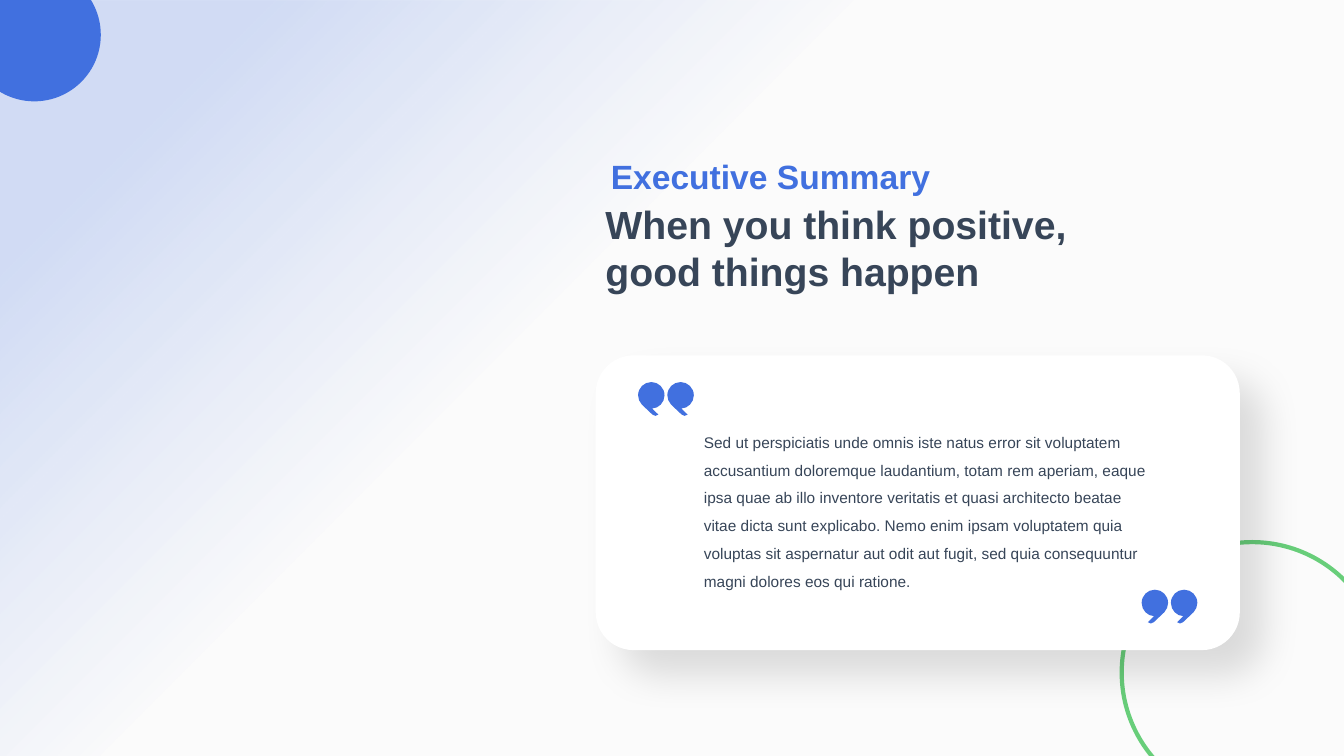
import pptx
import pptx.util
import pptx.dml.color
import pptx.enum.shapes
import pptx.enum.text
import pptx.oxml
import pptx.oxml.ns

Pt = pptx.util.Pt
qn = pptx.oxml.ns.qn
SHAPE = pptx.enum.shapes.MSO_SHAPE
ANCHOR = pptx.enum.text.MSO_ANCHOR
NS = 'xmlns:a="http://schemas.openxmlformats.org/drawingml/2006/main"'
COLORS = {"paper": "FBFBFB", "card": "FFFFFF", "blue": "4170DF",
          "green": "68CE7A", "ink": "374558", "shadow": "000000"}
QUOTE = ("Sed ut perspiciatis unde omnis iste natus error sit voluptatem "
         "accusantium doloremque laudantium, totam rem aperiam, eaque ipsa quae ab illo "
         "inventore veritatis et quasi architecto beatae vitae dicta sunt explicabo. "
         "Nemo enim ipsam voluptatem quia voluptas sit aspernatur aut odit aut fugit, "
         "sed quia consequuntur magni dolores eos qui ratione.")
# Comma outline in units of its radius: a start, then lines (1 point) and curves (3 points)
COMMA_START = (-0.71, 0.71)
COMMA = [[(-0.89, 0.52), (-1, 0.27), (-1, 0)],
         [(-1, -0.55), (-0.55, -1), (0, -1)],
         [(0.55, -1), (1, -0.55), (1, 0)],
         [(1, 0.55), (0.55, 1), (0.06, 1)],
         [(0.53, 1.46)],
         [(0.41, 1.59), (0.21, 1.59), (0.08, 1.46)]]


def rgb(name):
    return pptx.dml.color.RGBColor.from_string(COLORS[name])


def paint(sp, fill, line=None, width=0):
    sp.shadow.inherit = False
    sp.fill.solid()
    sp.fill.fore_color.rgb = rgb(fill)
    if line:
        sp.line.color.rgb = rgb(line)
        sp.line.width = Pt(width)
    else:
        sp.line.fill.background()


def add_shape(s, kind, box, *style):
    sp = s.shapes.add_shape(kind, *map(Pt, box))
    paint(sp, *style)
    return sp


def add_text(s, box, lines, size, color, bold=False, spacing=None, anchor=ANCHOR.TOP):
    tf = s.shapes.add_textbox(*map(Pt, box)).text_frame
    frame = {"word_wrap": True, "vertical_anchor": anchor,
             "auto_size": pptx.enum.text.MSO_AUTO_SIZE.SHAPE_TO_FIT_TEXT}
    for key, value in frame.items():
        setattr(tf, key, value)
    font = {"name": "Arial", "size": Pt(size), "bold": bold}
    for i, line in enumerate(lines):
        p = tf.add_paragraph() if i else tf.paragraphs[0]
        p.line_spacing = spacing
        r = p.add_run()
        r.text = line
        for key, value in font.items():
            setattr(r.font, key, value)
        r.font.color.rgb = rgb(color)


def add_quote_mark(s, left, top, side):
    """Two round commas; side is 1 for tails to the right, -1 for the left."""
    radius, gap = 9.45, 20.9
    builder = None
    for i in range(2):
        cx, cy = left + radius + i * gap, top + radius

        def place(point):
            return Pt(cx + side * radius * point[0]), Pt(cy + radius * point[1])

        if builder is None:
            builder = s.shapes.build_freeform(*place(COMMA_START))
        else:
            builder.move_to(*place(COMMA_START))
        builder.add_line_segments([place(pt) for part in COMMA for pt in part], close=True)
    sp = builder.convert_to_shape()
    paint(sp, "blue")
    # Turn each run of three points into one curve
    lines = list(sp._element.iter(qn("a:lnTo")))
    size = sum(map(len, COMMA))
    for start in range(0, 2 * size, len(lines) // 2):
        at = start
        for part in COMMA:
            if len(part) == 3:
                curve = pptx.oxml.parse_xml(f"<a:cubicBezTo {NS}/>")
                lines[at].addprevious(curve)
                for line in lines[at:at + 3]:
                    curve.append(line[0])
                    line.getparent().remove(line)
            at += len(part)


def add_backdrop(s, width, height):
    s.background.fill.solid()
    s.background.fill.fore_color.rgb = rgb("paper")
    # Diagonal blue wash
    sp = add_shape(s, SHAPE.RECTANGLE, (0, 0, width, height), "blue")
    stops = "".join(
        f'<a:gs pos="{pos * 1000}"><a:srgbClr val="{COLORS["blue"]}">'
        f'<a:alpha val="{alpha * 1000}"/></a:srgbClr></a:gs>'
        for pos, alpha in ((13, 22), (41, 0)))
    props = sp._element.spPr
    props.replace(props.find(qn("a:solidFill")), pptx.oxml.parse_xml(
        f'<a:gradFill {NS} rotWithShape="1"><a:gsLst>{stops}</a:gsLst>'
        '<a:lin ang="2700000" scaled="0"/></a:gradFill>'))
    # Corner circles
    add_shape(s, SHAPE.OVAL, (801.2, 387.2, 186.5, 186.5), "paper", "green", 3)
    add_shape(s, SHAPE.OVAL, (-23, -22.6, 95, 95), "blue")


def add_card(s, left, top, width, height):
    sp = add_shape(s, SHAPE.ROUNDED_RECTANGLE, (left, top, width, height), "card")
    sp.adjustments[0] = 0.129
    sp._element.spPr.find(qn("a:effectLst")).append(pptx.oxml.parse_xml(
        f'<a:outerShdw {NS} blurRad="{Pt(28)}" dist="{Pt(25)}" dir="2700000" '
        f'algn="tl" rotWithShape="0"><a:srgbClr val="{COLORS["shadow"]}">'
        '<a:alpha val="12000"/></a:srgbClr></a:outerShdw>'))
    # Quotation and its marks
    add_text(s, (left + 70.2, top + 45.4, 336.3, 125.3), [QUOTE], 11, "ink", spacing=1.5)
    add_quote_mark(s, left + 30.3, top + 19.1, 1)
    add_quote_mark(s, left + 390, top + 167.4, -1)


def add_heading(s, left, top):
    add_text(s, (left, top + 42.5, 401.8, 74.9),
             ["When you think positive,", "good things happen"], 28, "ink",
             bold=True, anchor=ANCHOR.MIDDLE)
    add_text(s, (left + 3.8, top, 342, 47.5), ["Executive Summary"], 24, "blue",
             bold=True, spacing=1.5, anchor=ANCHOR.BOTTOM)


def main():
    prs = pptx.Presentation()
    prs.slide_width, prs.slide_height = Pt(960), Pt(540)
    s = prs.slides.add_slide(prs.slide_layouts[6])
    add_backdrop(s, 960, 540)
    add_card(s, 425.5, 253.8, 460.1, 210.6)
    add_heading(s, 425.4, 96.5)
    prs.save("out.pptx")


if __name__ == "__main__":
    main()
